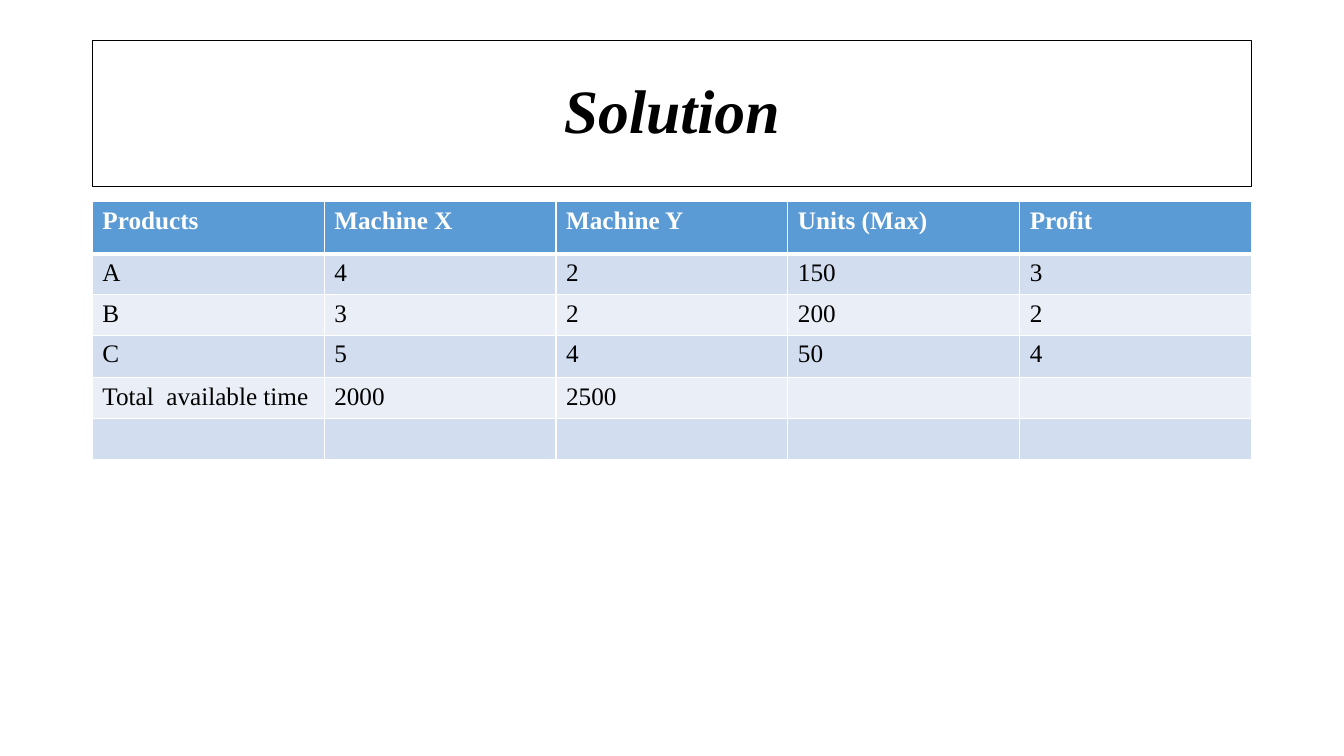
from dataclasses import dataclass

from lxml.etree import SubElement
from pptx import Presentation
from pptx.dml.color import RGBColor
from pptx.enum.text import MSO_ANCHOR, MSO_AUTO_SIZE, PP_ALIGN
from pptx.oxml.ns import qn
from pptx.util import Pt


@dataclass(frozen=True)
class Theme:
    font: str = "Times New Roman"
    title_size: float = 44
    table_size: float = 18
    ink: str = "000000"
    paper: str = "FFFFFF"
    header: str = "5B9BD5"
    bands: tuple = ("D2DEEF", "EAEFF7")
    thin: float = 1
    thick: float = 3


def write_text(frame, text, *, font, size, color, bold=False, italic=False,
               align=PP_ALIGN.LEFT, line_spacing=1.0):
    paragraph = frame.paragraphs[0]
    paragraph.alignment = align
    paragraph.line_spacing = line_spacing
    run = paragraph.add_run()
    run.text = text
    run.font.name = font
    run.font.size = Pt(size)
    run.font.bold = bold
    run.font.italic = italic
    run.font.color.rgb = RGBColor.from_string(color)


def set_borders(cell, color, widths):
    """Add the left, right, top and bottom lines ahead of the cell fill."""
    properties = cell._tc.get_or_add_tcPr()
    for index, (side, width) in enumerate(zip("LRTB", widths)):
        line = SubElement(properties, qn(f"a:ln{side}"), w=str(Pt(width)))
        fill = SubElement(line, qn("a:solidFill"))
        SubElement(fill, qn("a:srgbClr"), val=color)
        properties.insert(index, line)


class SlideBuilder:
    def __init__(self, slide, theme):
        self.slide = slide
        self.theme = theme

    def title(self, text, left, top, width, height):
        theme = self.theme
        shape = self.slide.shapes.title
        shape.left, shape.top = Pt(left), Pt(top)
        shape.width, shape.height = Pt(width), Pt(height)
        shape.line.color.rgb = RGBColor.from_string(theme.ink)
        shape.line.width = Pt(theme.thin)
        frame = shape.text_frame
        frame.auto_size = MSO_AUTO_SIZE.NONE
        frame.word_wrap = True
        frame.vertical_anchor = MSO_ANCHOR.MIDDLE
        write_text(frame, text, font=theme.font, size=theme.title_size,
                   color=theme.ink, bold=True, italic=True,
                   align=PP_ALIGN.CENTER, line_spacing=0.9)

    def table(self, rows, left, top, width, row_heights):
        column_count = len(rows[0])
        table = self.slide.shapes.add_table(
            len(rows), column_count, Pt(left), Pt(top),
            Pt(width), Pt(sum(row_heights))).table
        table.first_row = table.horz_banding = False
        for column in table.columns:
            column.width = Pt(width / column_count)
        for row_index, (values, height) in enumerate(zip(rows, row_heights)):
            table.rows[row_index].height = Pt(height)
            for column_index in range(column_count):
                text = values[column_index] if column_index < len(values) else ""
                self.table_cell(table.cell(row_index, column_index), text, row_index)

    def table_cell(self, cell, text, row_index):
        theme = self.theme
        is_header = row_index == 0
        fill = theme.header if is_header else theme.bands[(row_index - 1) % 2]
        cell.fill.solid()
        cell.fill.fore_color.rgb = RGBColor.from_string(fill)
        top_width = theme.thick if row_index == 1 else theme.thin
        bottom_width = theme.thick if is_header else theme.thin
        set_borders(cell, theme.paper,
                    (theme.thin, theme.thin, top_width, bottom_width))
        if text:
            write_text(cell.text_frame, text, font=theme.font,
                       size=theme.table_size, bold=is_header,
                       color=theme.paper if is_header else theme.ink)


# Page
presentation = Presentation()
presentation.slide_width, presentation.slide_height = Pt(960), Pt(540)
title_only = presentation.slide_layouts[5]
builder = SlideBuilder(presentation.slides.add_slide(title_only), Theme())

# Shared column for the title and the table
LEFT, WIDTH = 66, 828

# Title
builder.title("Solution", LEFT, 28.75, WIDTH, 104.4)

# Machine times, limits and profits; short rows end in empty cells
production = [
    ["Products", "Machine X", "Machine Y", "Units (Max)", "Profit"],
    ["A", "4", "2", "150", "3"],
    ["B", "3", "2", "200", "2"],
    ["C", "5", "4", "50", "4"],
    ["Total  available time", "2000", "2500"],
    [],
]
builder.table(production, LEFT, 144, WIDTH, [37.2, 29.2, 29.2, 30.2, 29.2, 29.2])

presentation.save("out.pptx")
